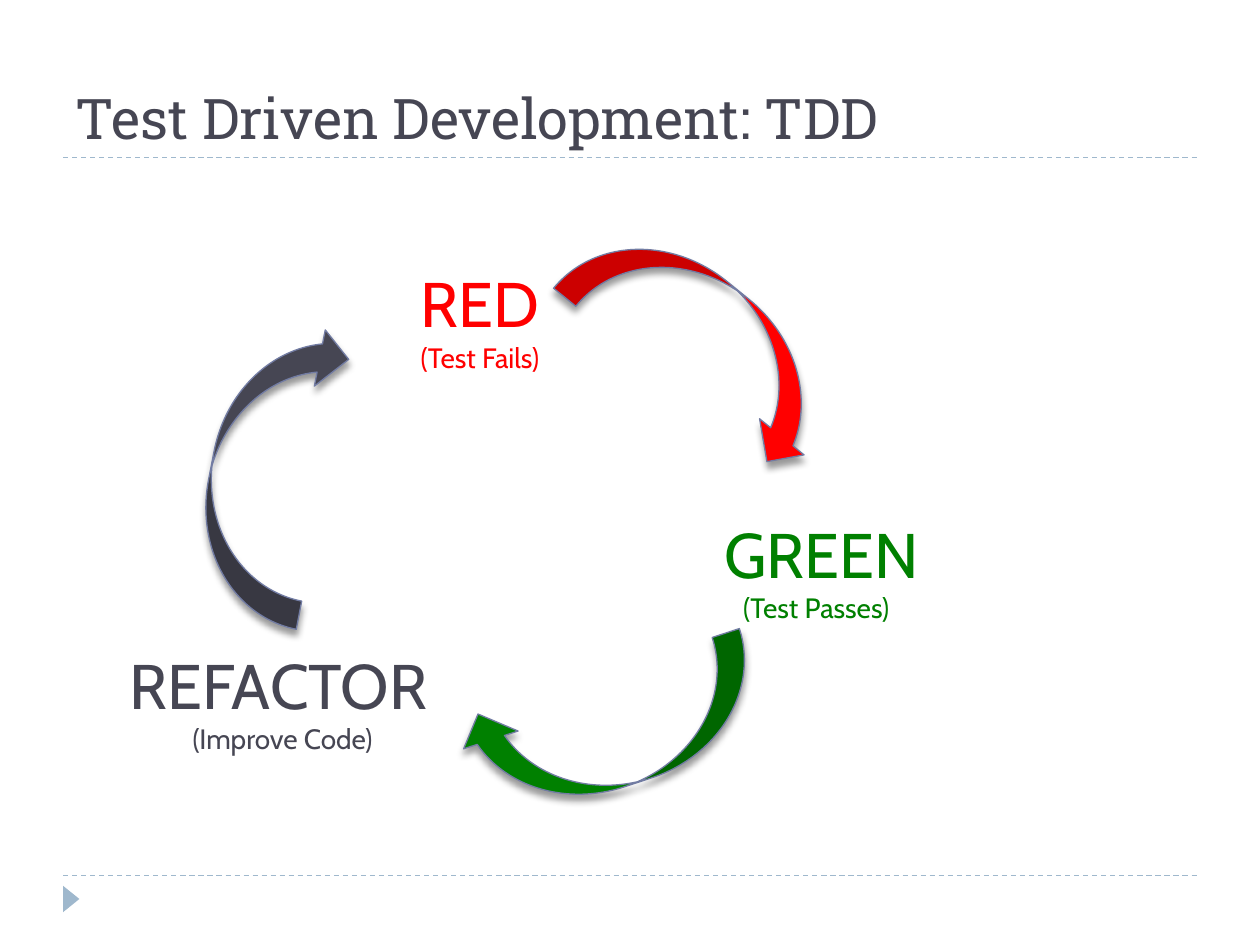
"""Build a slide showing the test driven development cycle."""
from lxml.etree import SubElement
from pptx import Presentation
from pptx.dml.color import RGBColor
from pptx.enum.dml import MSO_LINE
from pptx.enum.shapes import MSO_CONNECTOR, MSO_SHAPE
from pptx.enum.text import MSO_ANCHOR, PP_ALIGN
from pptx.oxml.ns import qn
from pptx.util import Inches, Pt

COLORS = {"slate": "464653", "red": "FF0000", "green": "008000",
          "edge": "727CA3", "pale": "9FB8CD", "black": "000000"}
TITLE = "Test Driven Development: TDD"
RULES = (1.25, 6.95)
ARROWS = [
    (1.68, 2.52, 11, "slate"),
    (5.16, 1.49, 129.1, "red"),
    (4.41, 4.59, 251.9, "green"),
]
STEPS = [
    ("RED", "(Test Fails)", 3.24, 2.05, 1.17, 0, "red"),
    ("GREEN", "(Test Passes)", 5.65, 4.04, 1.78, 0.15, "green"),
    ("REFACTOR", "(Improve Code)", 0.93, 5.08, 2.64, 0.5, "slate"),
]


def color(name):
    return RGBColor.from_string(COLORS[name])


def write(para, text, size, ink, font="Cabin", indent=0):
    para.alignment = PP_ALIGN.LEFT
    if indent:
        props = para._p.get_or_add_pPr()
        props.set("marL", str(Inches(indent)))
        props.set("indent", "0")
    run = para.add_run()
    run.text = text
    run.font.size = Pt(size)
    run.font.name = font
    run.font.color.rgb = color(ink)


def add_rule(slide, y):
    rule = slide.shapes.add_connector(
        MSO_CONNECTOR.STRAIGHT, Inches(0.5), Inches(y), Inches(9.5), Inches(y))
    rule.line.color.rgb = color("pale")
    rule.line.width = Pt(0.75)
    rule.line.dash_style = MSO_LINE.DASH
    SubElement(rule._element.spPr, qn("a:effectLst"))


def add_solid(slide, kind, box, turn, fill):
    shape = slide.shapes.add_shape(kind, *map(Inches, box))
    shape.rotation = turn
    shape.fill.solid()
    shape.fill.fore_color.rgb = color(fill)
    shape.line.fill.background()
    shape.shadow.inherit = False
    return shape


def add_arrow(slide, x, y, turn, fill):
    arrow = add_solid(slide, MSO_SHAPE.CURVED_LEFT_ARROW,
                      (x, y, 0.91, 2.41), turn, fill)
    arrow.line.color.rgb = color("edge")
    arrow.line.width = Pt(0.75)
    props = arrow._element.spPr
    frame = props.find(qn("a:xfrm"))
    frame.set("flipH", "1")
    frame.set("flipV", "1")
    shade = SubElement(props.find(qn("a:effectLst")), qn("a:outerShdw"),
                       blurRad=str(Pt(4)), dist=str(Pt(3.4)),
                       dir="5400000", rotWithShape="0")
    tint = SubElement(shade, qn("a:srgbClr"), val=COLORS["black"])
    SubElement(tint, qn("a:alpha"), val="40000")


def add_step(slide, name, note, x, y, width, indent, ink):
    box = slide.shapes.add_textbox(*map(Inches, (x, y, width, 0.98)))
    frame = box.text_frame
    frame.word_wrap = True
    frame.margin_right = 0
    write(frame.paragraphs[0], name, 36, ink)
    write(frame.add_paragraph(), note, 16, ink, indent=indent)


def main():
    deck = Presentation()
    deck.slide_width, deck.slide_height = Inches(10), Inches(7.5)
    slide = deck.slides.add_slide(deck.slide_layouts[5])
    for y in RULES:
        add_rule(slide, y)
    add_solid(slide, MSO_SHAPE.ISOSCELES_TRIANGLE,
              (0.46, 7.07, 0.21, 0.13), 90, "pale")
    title = slide.shapes.title
    title.left, title.top = Inches(0.5), Inches(0.17)
    title.width, title.height = Inches(9), Inches(1.08)
    title.text_frame.vertical_anchor = MSO_ANCHOR.BOTTOM
    write(title.text_frame.paragraphs[0], TITLE, 32, "slate", font="Roboto Slab")
    for arrow in ARROWS:
        add_arrow(slide, *arrow)
    for step in STEPS:
        add_step(slide, *step)
    deck.save("out.pptx")


main()
